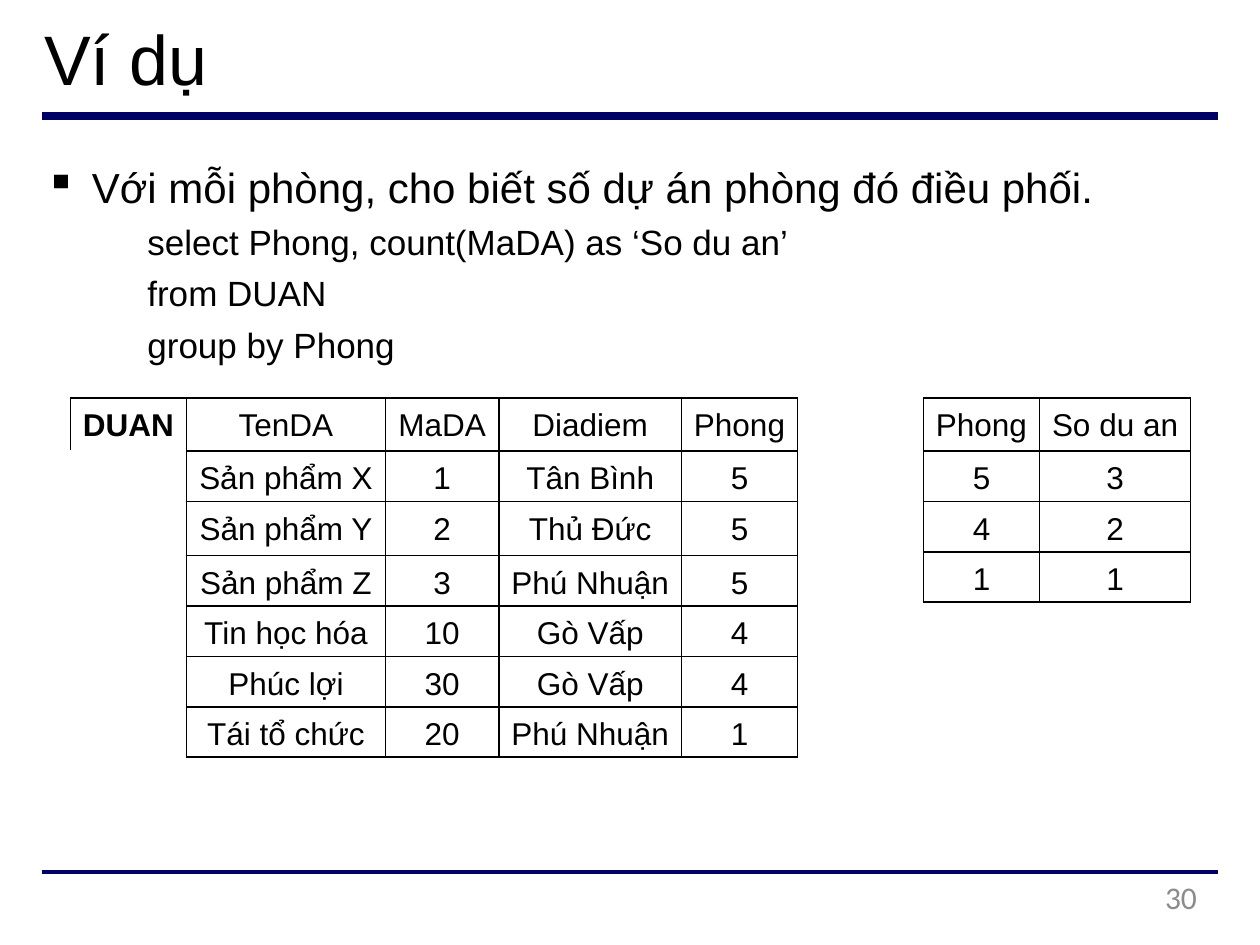
from lxml.etree import SubElement
from pptx import Presentation
from pptx.dml.color import RGBColor
from pptx.enum.shapes import MSO_CONNECTOR
from pptx.enum.text import MSO_ANCHOR, PP_ALIGN as Align
from pptx.oxml import parse_xml
from pptx.oxml.ns import nsdecls, qn
from pptx.util import Inches, Pt

COLORS = {"text": "000000", "rule": "000066", "number": "8C8C8C"}
BORDER_WIDTH = Pt(1)
PROJECTS = [
    ["DUAN", "TenDA", "MaDA", "Diadiem", "Phong"],
    ["", "Sản phẩm X", "1", "Tân Bình", "5"],
    ["", "Sản phẩm Y", "2", "Thủ Đức", "5"],
    ["", "Sản phẩm Z", "3", "Phú Nhuận", "5"],
    ["", "Tin học hóa", "10", "Gò Vấp", "4"],
    ["", "Phúc lợi", "30", "Gò Vấp", "4"],
    ["", "Tái tổ chức", "20", "Phú Nhuận", "1"],
]
COUNTS = [["Phong", "So du an"], ["5", "3"], ["4", "2"], ["1", "1"]]
QUERY = [
    ("select Phong, count(MaDA) as ‘So du an’", 4.8),
    ("from DUAN", 5.5),
    ("group by Phong", 5.5),
]


def set_values(target, values):
    """Set attributes of an object from a dict."""
    for name, value in values.items():
        setattr(target, name, value)


def set_frame(frame, top=0):
    """Give a text frame its margins, wrapping and top anchor."""
    set_values(frame, {
        "margin_left": 0, "margin_right": 0, "margin_bottom": 0,
        "margin_top": Inches(top), "word_wrap": True,
        "vertical_anchor": MSO_ANCHOR.TOP,
    })


def write_paragraph(paragraph, text, size, align=Align.LEFT, before=0,
                    color="text", font="Arial", bold=False):
    """Write and format one paragraph."""
    paragraph.text = text
    set_values(paragraph, {"alignment": align, "space_before": Pt(before)})
    set_values(paragraph.font, {"size": Pt(size), "name": font, "bold": bold})
    paragraph.font.color.rgb = RGBColor.from_string(COLORS[color])


def set_indent(paragraph, left, first=0, bullet=None):
    """Set the indents of a paragraph and its optional bullet."""
    properties = paragraph._p.get_or_add_pPr()
    properties.set("marL", str(Inches(left)))
    properties.set("indent", str(Inches(first)))
    if bullet:
        SubElement(properties, qn("a:buChar"), char=bullet)


def add_rule(slide, top, width):
    """Draw a horizontal rule across the slide."""
    rule = slide.shapes.add_connector(
        MSO_CONNECTOR.STRAIGHT, Inches(0.33), Inches(top), Inches(9.67), Inches(top))
    rule.line.width = Pt(width)
    rule.line.color.rgb = RGBColor.from_string(COLORS["rule"])
    SubElement(rule._element.spPr, qn("a:effectLst"))


def add_title(slide, text):
    """Place and format the title placeholder."""
    title = slide.shapes.title
    set_values(title, {"left": Inches(0.34), "top": Inches(0.11),
                       "width": Inches(7.28), "height": Inches(0.69)})
    set_frame(title.text_frame, 0.01)
    write_paragraph(title.text_frame.paragraphs[0], text, 40)
    set_indent(title.text_frame.paragraphs[0], 0.01)


def add_text_box(slide, left, top, width, height, margin_top=0):
    """Add a text box and return its text frame."""
    box = slide.shapes.add_textbox(
        Inches(left), Inches(top), Inches(width), Inches(height))
    set_frame(box.text_frame, margin_top)
    return box.text_frame


def add_body(slide):
    """Add the question and its query."""
    frame = add_text_box(slide, 0.34, 1.12, 8.6, 1.71, 0.16)
    question = frame.paragraphs[0]
    set_indent(question, 0.39, -0.37, "▪")
    write_paragraph(
        question, "Với mỗi phòng, cho biết số dự án phòng đó điều phối.", 24)
    for text, before in QUERY:
        line = frame.add_paragraph()
        set_indent(line, 0.83)
        write_paragraph(line, text, 20, before=before)


def set_borders(cell, sides):
    """Draw the listed sides of a cell and hide the others."""
    properties = cell._tc.get_or_add_tcPr()
    for index, side in enumerate("LRTB"):
        fill = "<a:noFill/>"
        if side in sides:
            fill = f'<a:solidFill><a:srgbClr val="{COLORS["text"]}"/></a:solidFill>'
        properties.insert(index, parse_xml(
            f'<a:ln{side} {nsdecls("a")} w="{BORDER_WIDTH}">{fill}</a:ln{side}>'))


def add_grid(slide, left, widths, heights, rows):
    """Add a bordered table whose empty cells stay open."""
    table = slide.shapes.add_table(
        len(rows), len(widths), Inches(left), Inches(3.16),
        Inches(sum(widths)), Inches(sum(heights))).table
    set_values(table, {"first_row": False, "horz_banding": False})
    for column, width in zip(table.columns, widths):
        column.width = Inches(width)
    for row, height, texts in zip(table.rows, heights, rows):
        row.height = Inches(height)
        for cell, text in zip(row.cells, texts):
            cell.fill.background()
            set_values(cell, {"margin_left": 0, "margin_right": 0,
                              "margin_top": Inches(0.08), "margin_bottom": 0})
            write_paragraph(cell.text_frame.paragraphs[0], text, 18,
                            Align.CENTER, bold=text == "DUAN")
            set_borders(cell, "LRTB" if text else "R")
    return table


def main():
    """Build the slide and save it."""
    presentation = Presentation()
    set_values(presentation, {"slide_width": Inches(10), "slide_height": Inches(7.5)})
    slide = presentation.slides.add_slide(presentation.slide_layouts[5])
    add_rule(slide, 0.92, 4.5)
    add_rule(slide, 6.92, 2.25)
    add_title(slide, "Ví dụ")
    add_body(slide)
    projects = add_grid(slide, 0.56, [0.92, 1.58, 0.9, 1.45, 0.92],
                        [0.42, 0.4, 0.43] + [0.4] * 4, PROJECTS)
    blank = projects.cell(1, 0)
    blank.merge(projects.cell(6, 0))
    blank._tc.tcPr.remove(blank._tc.tcPr.find(qn("a:lnT")))
    add_grid(slide, 7.33, [0.92, 1.2], [0.42] + [0.4] * 3, COUNTS)
    number = add_text_box(slide, 7.2, 6.97, 2.3, 0.38)
    write_paragraph(number.paragraphs[0], "30", 18, Align.RIGHT,
                    color="number", font="Calibri")
    presentation.save("out.pptx")


if __name__ == "__main__":
    main()
